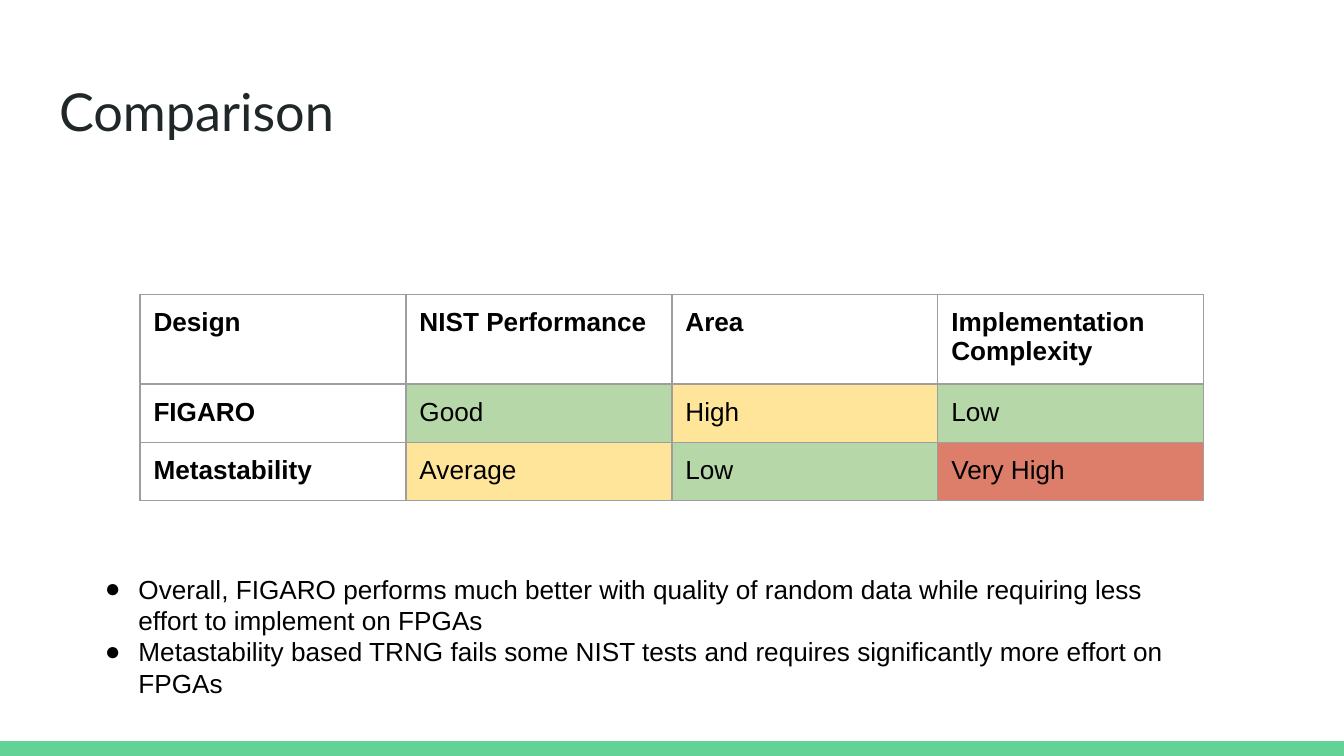
"""Build the slide that compares two random number generator designs."""
from lxml import etree
from pptx import Presentation
from pptx import util as u
from pptx.dml.color import RGBColor
from pptx.enum import shapes, text
from pptx.oxml import ns

HUES = {"band": "63D297", "title": "202729", "ink": "000000", "grid": "9E9E9E",
        "good": "B6D7A8", "fair": "FFE599", "poor": "DD7E6B"}
COLS, ROWS = 100, 56.25
UNIT = u.Inches(0.1)
WIDE, TALL = 19.79, 4.17
ROWSET = [
    [("Design", None), ("NIST Performance", None), ("Area", None),
     ("Implementation Complexity", None)],
    [("FIGARO", None), ("Good", "good"), ("High", "fair"), ("Low", "good")],
    [("Metastability", None), ("Average", "fair"), ("Low", "good"), ("Very High", "poor")],
]
NOTES = [
    "Overall, FIGARO performs much better with quality of random data "
    "while requiring less effort to implement on FPGAs",
    "Metastability based TRNG fails some NIST tests and requires "
    "significantly more effort on FPGAs",
]


def place(*cells):
    return [round(c * UNIT) for c in cells]


def write(para, words, size=14, face="Arial", hue="ink", bold=False):
    run = para.add_run()
    run.text = words
    run.font.size = u.Pt(size)
    run.font.name = face
    run.font.bold = bold
    run.font.color.rgb = RGBColor.from_string(HUES[hue])


deck = Presentation()
deck.slide_width, deck.slide_height = place(COLS, ROWS)
slide = deck.slides.add_slide(deck.slide_layouts[6])

band = slide.shapes.add_shape(shapes.MSO_SHAPE.RECTANGLE, *place(0, ROWS - 1.1, COLS, 1.1))
band.shadow.inherit = False
band.fill.solid()
band.fill.fore_color.rgb = RGBColor.from_string(HUES["band"])
band.line.fill.background()

frames = []
for spot in [(3.41, 4.9, 93.2, 6.3), (4.32, 41.63, 85.3, 11.2)]:
    frame = slide.shapes.add_textbox(*place(*spot)).text_frame
    frame.word_wrap = True
    frame.vertical_anchor = text.MSO_ANCHOR.TOP
    frame.margin_left = frame.margin_right = UNIT
    frame.margin_top = frame.margin_bottom = UNIT
    frames.append(frame)
head, notes = frames
write(head.paragraphs[0], "Comparison", 28, "Lato", "title")

for i, words in enumerate(NOTES):
    para = notes.add_paragraph() if i else notes.paragraphs[0]
    props = para._p.get_or_add_pPr()
    props.set("marL", str(5 * UNIT))
    props.set("indent", str(round(-2.5 * UNIT)))
    etree.SubElement(props, ns.qn("a:buFont"), typeface="Arial")
    etree.SubElement(props, ns.qn("a:buChar"), char="●")
    write(para, words)

holder = slide.shapes.add_table(3, 4, *place(10.42, 21.9, 4 * WIDE, 3 * TALL))
table = holder.table
table.horz_banding = False
for col in table.columns:
    col.width = round(WIDE * UNIT)
for r, row in enumerate(ROWSET):
    table.rows[r].height = round(TALL * UNIT)
    for c, (words, hue) in enumerate(row):
        cell = table.cell(r, c)
        cell.margin_left = cell.margin_right = UNIT
        cell.margin_top = cell.margin_bottom = UNIT
        props = cell._tc.get_or_add_tcPr()
        for side in "LRTB":
            line = etree.SubElement(props, ns.qn("a:ln" + side), w=str(u.Pt(0.75)))
            fill = etree.SubElement(line, ns.qn("a:solidFill"))
            etree.SubElement(fill, ns.qn("a:srgbClr"), val=HUES["grid"])
        if hue:
            cell.fill.solid()
            cell.fill.fore_color.rgb = RGBColor.from_string(HUES[hue])
        else:
            cell.fill.background()
        write(cell.text_frame.paragraphs[0], words, bold=r == 0 or c == 0)
holder.width, holder.height = place(32.8, 32.8)

deck.save("out.pptx")
